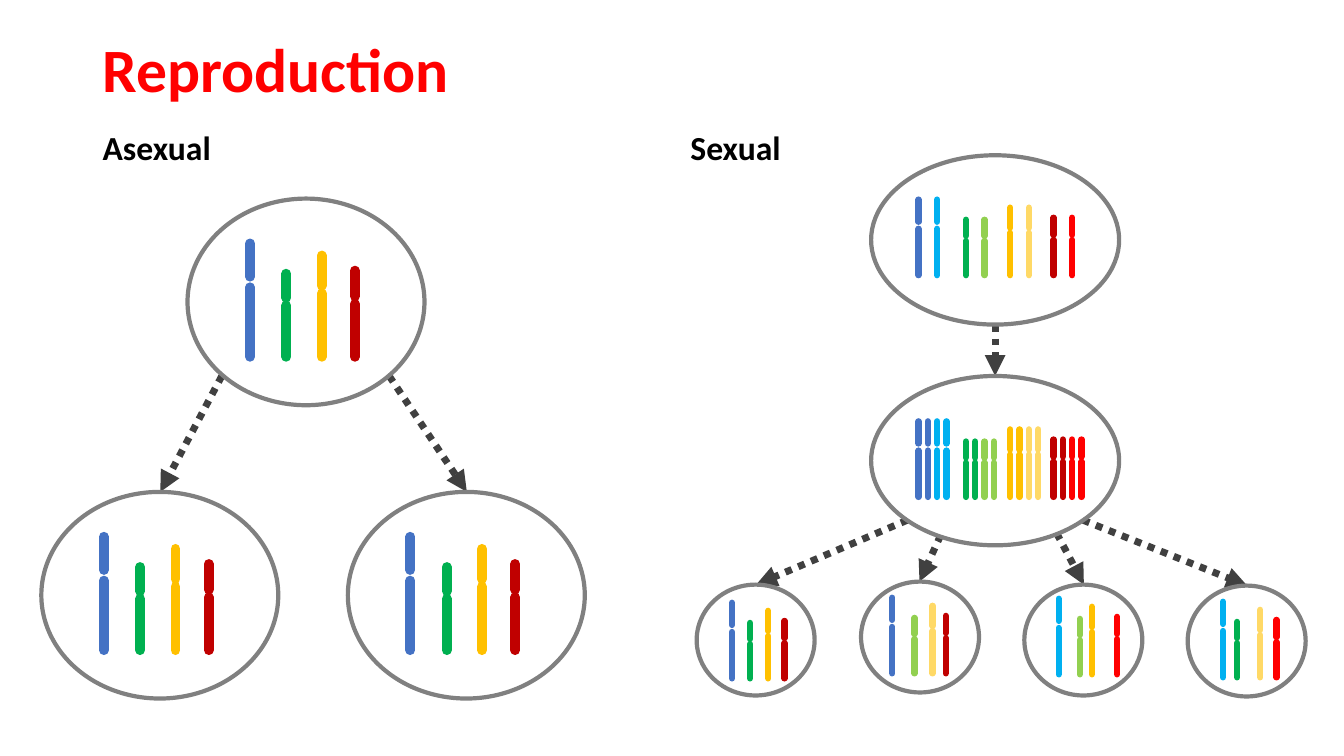
"""Builds a slide that compares asexual and sexual reproduction."""
from dataclasses import dataclass
from typing import NamedTuple

from pptx import Presentation
from pptx.dml.color import RGBColor
from pptx.enum.dml import MSO_LINE
from pptx.enum.shapes import MSO_CONNECTOR, MSO_SHAPE
from pptx.enum.text import MSO_ANCHOR as Anchor
from pptx.oxml.ns import qn
from pptx.oxml.xmlchemy import OxmlElement
from pptx.shapes.connector import Connector
from pptx.shapes.shapetree import GroupShapes, SlideShapes
from pptx.util import Inches, Pt


class Arms(NamedTuple):
    """Heights of the tip and both sides of the centromere above the base."""
    tip: float
    upper: float
    lower: float


class Allele(NamedTuple):
    """A chromosome version with its colour."""
    color: str
    arms: Arms


class Strand(NamedTuple):
    """An allele at a distance from the left edge of its cell."""
    allele: Allele
    offset: float


class Arrow(NamedTuple):
    """A dotted arrow from a parent cell to a daughter cell."""
    x1: float
    y1: float
    x2: float
    y2: float


class Label(NamedTuple):
    """A bold text with its frame."""
    text: str
    left: float
    top: float
    width: float
    height: float
    size: int
    color: str
    anchor: Anchor


@dataclass(frozen=True)
class CellSize:
    """Size of a cell outline and of the strands inside it."""
    width: float
    height: float
    scale: float
    weight: float


@dataclass(frozen=True)
class Cell:
    """A cell with its strands, which stand on a common base."""
    left: float
    top: float
    size: CellSize
    base: float
    strands: list[Strand]


LONGEST, SHORTEST = Arms(0.75, 0.53, 0.46), Arms(0.55, 0.39, 0.34)
LONG, SHORT = Arms(0.67, 0.47, 0.42), Arms(0.57, 0.4, 0.35)
BLUE, SKY = Allele("4472C4", LONGEST), Allele("00B0F0", LONGEST)
GREEN, LIME = Allele("00B050", SHORTEST), Allele("92D050", SHORTEST)
GOLD, CREAM = Allele("FFC000", LONG), Allele("FFD966", LONG)
CRIMSON, RED = Allele("C00000", SHORT), Allele("FF0000", SHORT)
FIRST_SET = [BLUE, GREEN, GOLD, CRIMSON]
SECOND_SET = [SKY, LIME, CREAM, RED]

CLONE = CellSize(2.35, 2.05, 1.5, 7)
DIPLOID = CellSize(2.46, 1.68, 1, 4.5)
GAMETE = CellSize(1.17, 1.1, 1, 4.5)

CLONE_OFFSETS = [0.62, 0.98, 1.33, 1.66]
PAIR_OFFSETS = [0.47, 0.94, 1.38, 1.81]
PAIR_GAP = 0.185


def place(alleles: list[Allele], offsets: list[float], shift: float = 0) -> list[Strand]:
    """Set alleles at their offsets, all moved by one shift."""
    return [Strand(allele, offset + shift) for allele, offset in zip(alleles, offsets)]


PAIRS = place(FIRST_SET, PAIR_OFFSETS) + place(SECOND_SET, PAIR_OFFSETS, PAIR_GAP)
COPIES = [Strand(allele, offset + PAIR_GAP / 2) for allele, offset in PAIRS]

CELLS = [
    *(Cell(left, top, CLONE, 1.57, place(FIRST_SET, CLONE_OFFSETS))
      for left, top in [(1.86, 1.97), (0.41, 4.88), (3.45, 4.88)]),
    Cell(8.64, 1.54, DIPLOID, 1.19, PAIRS),
    Cell(8.64, 3.73, DIPLOID, 1.2, PAIRS + COPIES),
    Cell(6.91, 5.8, GAMETE, 0.93, place(FIRST_SET, [0.35, 0.53, 0.71, 0.87])),
    Cell(8.54, 5.77, GAMETE, 0.91,
         place([BLUE, LIME, CREAM, CRIMSON], [0.31, 0.53, 0.71, 0.84])),
    Cell(10.16, 5.8, GAMETE, 0.89, place([SKY, LIME, GOLD, RED], [0.34, 0.55, 0.67, 0.92])),
    Cell(11.78, 5.81, GAMETE, 0.91, place([SKY, GREEN, CREAM, RED], [0.35, 0.49, 0.72, 0.88])),
]

ARROWS = [
    Arrow(2.2, 3.73, 1.59, 4.88),
    Arrow(3.86, 3.73, 4.63, 4.88),
    Arrow(9.87, 3.22, 9.87, 3.73),
    Arrow(9, 5.16, 7.5, 5.8),
    Arrow(9.33, 5.31, 9.12, 5.77),
    Arrow(10.48, 5.29, 10.75, 5.8),
    Arrow(10.74, 5.16, 12.37, 5.81),
]

LABELS = [
    Label("Reproduction", 0.92, -0.01, 11.5, 1.45, 44, "FF0000", Anchor.MIDDLE),
    Label("Asexual", 0.92, 0.91, 5.64, 0.8, 24, "000000", Anchor.BOTTOM),
    Label("Sexual", 6.75, 0.91, 5.67, 0.8, 24, "000000", Anchor.BOTTOM),
]


def rgb(color: str) -> RGBColor:
    """Turn a hex string into a colour."""
    return RGBColor.from_string(color)


def draw_line(shapes: SlideShapes | GroupShapes, x1: float, y1: float, x2: float, y2: float,
              color: str, weight: float) -> Connector:
    """Draw a straight line without a shadow."""
    line = shapes.add_connector(MSO_CONNECTOR.STRAIGHT,
                                Inches(x1), Inches(y1), Inches(x2), Inches(y2))
    line.line.color.rgb = rgb(color)
    line.line.width = Pt(weight)
    line._element.spPr.append(OxmlElement("a:effectLst"))
    return line


def draw_arrow(shapes: SlideShapes, arrow: Arrow) -> None:
    """Draw a dotted line with a triangular head."""
    line = draw_line(shapes, *arrow, "404040", 5)
    line.line.dash_style = MSO_LINE.ROUND_DOT
    head = OxmlElement("a:tailEnd")
    head.set("type", "triangle")
    line._element.spPr.find(qn("a:ln")).append(head)


def draw_cell(shapes: SlideShapes, cell: Cell) -> None:
    """Draw the strands of a cell and its outline as one group."""
    group = shapes.add_group_shape().shapes
    size, base = cell.size, cell.top + cell.base
    for (color, arms), offset in cell.strands:
        x = cell.left + offset
        tip, upper, lower = (base - size.scale * height for height in arms)
        for start, end in [(tip, upper), (lower, base)]:
            arm = draw_line(group, x, start, x, end, color, size.weight)
            arm._element.spPr.find(qn("a:ln")).set("cap", "rnd")
    outline = group.add_shape(MSO_SHAPE.OVAL, Inches(cell.left), Inches(cell.top),
                              Inches(size.width), Inches(size.height))
    outline.shadow.inherit = False
    outline.fill.background()
    outline.line.color.rgb = rgb("808080")
    outline.line.width = Pt(3)


def draw_label(shapes: SlideShapes, label: Label) -> None:
    """Write a bold label."""
    box = shapes.add_textbox(Inches(label.left), Inches(label.top),
                             Inches(label.width), Inches(label.height))
    frame = box.text_frame
    frame.word_wrap = True
    frame.vertical_anchor = label.anchor
    para = frame.paragraphs[0]
    para.text = label.text
    para.line_spacing = 0.9
    para.font.name = "Calibri"
    para.font.size = Pt(label.size)
    para.font.bold = True
    para.font.color.rgb = rgb(label.color)


deck = Presentation()
deck.slide_width, deck.slide_height = Inches(13.33), Inches(7.5)
page = deck.slides.add_slide(deck.slide_layouts[6])
for label in LABELS:
    draw_label(page.shapes, label)
for arrow in ARROWS:
    draw_arrow(page.shapes, arrow)
for cell in CELLS:
    draw_cell(page.shapes, cell)
deck.save("out.pptx")
